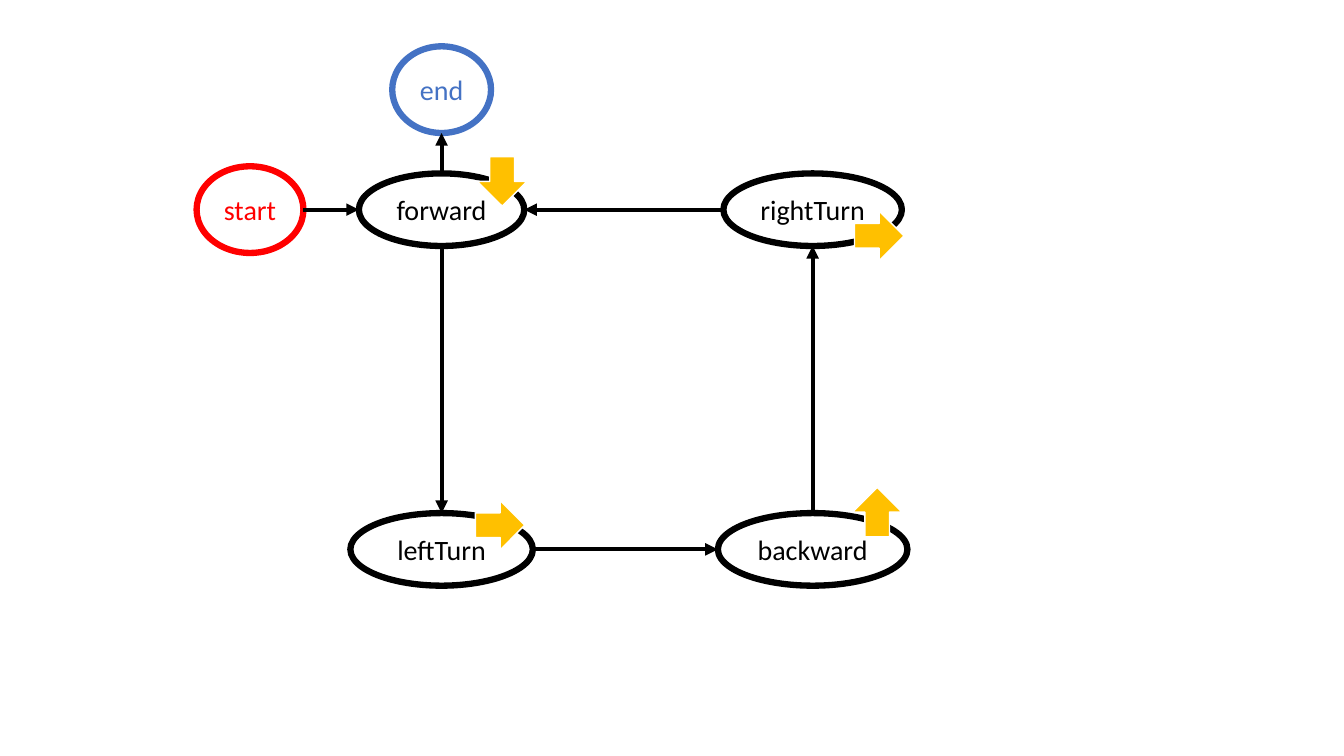
"""Build a slide with a state diagram of a robot's moves."""
from lxml import etree
from pptx import Presentation
from pptx import util as u
from pptx.dml.color import RGBColor
from pptx.enum import shapes, text
from pptx.oxml.ns import qn


def paint(color_format, hex_color):
    color_format.rgb = RGBColor.from_string(hex_color)


def add_filled_shape(kind, center_x, center_y, width, height, line_color, line_width):
    shape = slide.shapes.add_shape(
        kind, u.Inches(center_x - width / 2), u.Inches(center_y - height / 2),
        u.Inches(width), u.Inches(height))
    shape.shadow.inherit = False
    paint(shape.line.color, line_color)
    shape.line.width = u.Pt(line_width)
    return shape


presentation = Presentation()
presentation.slide_width = u.Inches(13.33)
presentation.slide_height = u.Inches(7.5)
slide = presentation.slides.add_slide(presentation.slide_layouts[6])

columns = [2.48, 4.38, 8.06]
rows = [0.89, 2.08, 5.45]
black, red, blue, gold, white = "000000", "FF0000", "4472C4", "FFC000", "FFFFFF"

states = {
    "start": (0, 1, 1.06, 0.86, red),
    "rightTurn": (2, 1, 1.77, 0.72, black),
    "backward": (2, 2, 1.88, 0.72, black),
    "leftTurn": (1, 2, 1.81, 0.72, black),
    "end": (1, 0, 0.98, 0.86, blue),
    "forward": (1, 1, 1.64, 0.72, black),
}
for name, (column, row, width, height, color) in states.items():
    state = add_filled_shape(shapes.MSO_SHAPE.OVAL, columns[column], rows[row],
                             width, height, color, 4.5)
    state.fill.background()
    frame = state.text_frame
    frame.word_wrap = False
    frame.vertical_anchor = text.MSO_ANCHOR.MIDDLE
    paragraph = frame.paragraphs[0]
    paragraph.text = name
    paragraph.alignment = text.PP_ALIGN.CENTER
    paragraph.font.name = "Calibri"
    paragraph.font.size = u.Pt(20)
    paint(paragraph.font.color, color)

transitions = [
    ("start", "forward"), ("forward", "leftTurn"), ("leftTurn", "backward"),
    ("backward", "rightTurn"), ("rightTurn", "forward"), ("forward", "end"),
]
for source, target in transitions:
    source_column, source_row, source_width, source_height, _ = states[source]
    target_column, target_row, target_width, target_height, _ = states[target]
    step_x = (target_column > source_column) - (target_column < source_column)
    step_y = (target_row > source_row) - (target_row < source_row)
    connector = slide.shapes.add_connector(
        shapes.MSO_CONNECTOR.STRAIGHT,
        u.Inches(columns[source_column] + step_x * source_width / 2),
        u.Inches(rows[source_row] + step_y * source_height / 2),
        u.Inches(columns[target_column] - step_x * target_width / 2),
        u.Inches(rows[target_row] - step_y * target_height / 2))
    paint(connector.line.color, black)
    connector.line.width = u.Pt(3)
    etree.SubElement(connector.line._get_or_add_ln(), qn("a:tailEnd"), type="triangle")
    etree.SubElement(connector._element.spPr, qn("a:effectLst"))

headings = [
    (4.98, 1.8, 180),
    (8.72, 2.34, 90),
    (8.7, 5.08, 0),
    (4.96, 5.21, 90),
]
for center_x, center_y, rotation in headings:
    arrow = add_filled_shape(shapes.MSO_SHAPE.UP_ARROW, center_x, center_y,
                             0.49, 0.49, white, 1)
    arrow.fill.solid()
    paint(arrow.fill.fore_color, gold)
    arrow.rotation = rotation

presentation.save("out.pptx")
